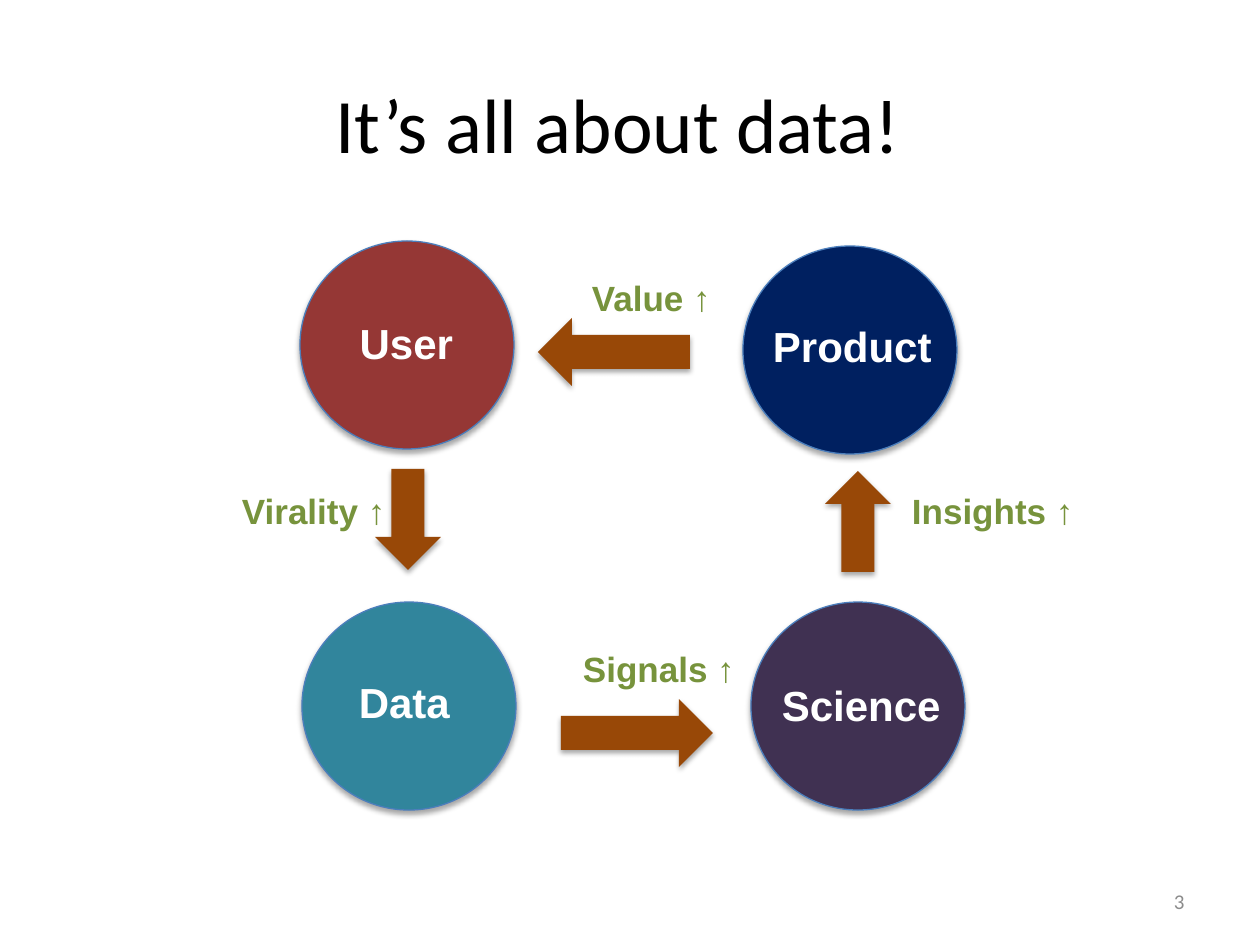
from lxml import etree
from pptx import Presentation, util as u
from pptx.dml.color import RGBColor
from pptx.enum import shapes, text
from pptx.oxml.ns import qn

PX = 914400 / 126
HUES = {
    "ink": "000000", "page": "8C8C8C", "white": "FFFFFF", "tag": "77933C",
    "rim": "4B7EBC", "arrow": "984807", "user": "953735", "product": "002060",
    "science": "403152", "data": "31859C",
}
FORM = shapes.MSO_SHAPE
LEFT, MID, RIGHT = text.PP_ALIGN.LEFT, text.PP_ALIGN.CENTER, text.PP_ALIGN.RIGHT


def rgb(name):
    """Return the named colour."""
    return RGBColor.from_string(HUES[name])


def emu(*sizes):
    """Turn px lengths into EMU."""
    return [u.Emu(round(size * PX)) for size in sizes]


def write(slide, box, words, size=20, hue="tag", font="Arial", bold=True,
          align=LEFT, anchor=text.MSO_ANCHOR.TOP, wrap=False, inset=0):
    """Place one line of formatted text in a box."""
    frame = slide.shapes.add_textbox(*emu(*box)).text_frame
    frame.word_wrap = wrap
    frame.auto_size = text.MSO_AUTO_SIZE.NONE
    frame.vertical_anchor = anchor
    frame.margin_left = u.Inches(inset)
    para = frame.paragraphs[0]
    para.alignment = align
    run = para.add_run()
    run.text = words
    run.font.name, run.font.size, run.font.bold = font, u.Pt(size), bold
    run.font.color.rgb = rgb(hue)


def shade(shape):
    """Give a shape a soft shadow below it."""
    shape.shadow.inherit = False
    effects = shape._element.spPr.find(qn("a:effectLst"))
    outer = etree.SubElement(
        effects, qn("a:outerShdw"), blurRad=str(u.Pt(3.1)), dist=str(u.Pt(1.8)),
        dir="5400000", rotWithShape="0")
    black = etree.SubElement(outer, qn("a:srgbClr"), val=HUES["ink"])
    etree.SubElement(black, qn("a:alpha"), val="35000")


def draw(slide, form, box, hue, rim=None):
    """Draw a filled shape with a shadow and an optional rim."""
    shape = slide.shapes.add_shape(form, *emu(*box))
    shape.fill.solid()
    shape.fill.fore_color.rgb = rgb(hue)
    if rim:
        shape.line.color.rgb = rgb(rim)
        shape.line.width = u.Pt(0.75)
    else:
        shape.line.fill.background()
    shade(shape)


def header(slide, box):
    """Write the slide title."""
    write(slide, box, "It’s all about data!", size=44, hue="ink", font="Calibri",
          bold=False, align=MID, anchor=text.MSO_ANCHOR.MIDDLE, wrap=True, inset=0.1)


def footer(slide, box):
    """Write the page number."""
    write(slide, box, "3", size=12, hue="page", font="Calibri", bold=False,
          align=RIGHT, anchor=text.MSO_ANCHOR.MIDDLE, wrap=True, inset=0.1)


def cycle(slide, box):
    """Draw the four stages and the arrows that link them."""
    left, top = box[:2]
    stages = [
        ("Product", 503, 6, 515, 74), ("Science", 511, 362, 524, 433),
        ("Data", 62, 362, 67, 430), ("User", 60, 1, 69, 71),
    ]
    for name, x, y, tx, ty in stages:
        draw(slide, FORM.OVAL, (left + x, top + y, 214, 208), name.lower(), "rim")
        write(slide, (left + tx, top + ty, 207, 50), name, size=24, hue="white",
              align=MID)
    flat, tall = (152, 68), (66, 101)
    links = [
        ("Signals", FORM.RIGHT_ARROW, 321, 459, flat, 343, 401),
        ("Value", FORM.LEFT_ARROW, 298, 78, flat, 352, 30),
        ("Virality", FORM.DOWN_ARROW, 135, 229, tall, 2, 243),
        ("Insights", FORM.UP_ARROW, 585, 231, tall, 672, 243),
    ]
    for name, form, x, y, size, tx, ty in links:
        draw(slide, form, (left + x, top + y, *size), "arrow")
        write(slide, (left + tx, top + ty, 152, 52), f"{name} ↑")


def main():
    """Build and save the slide."""
    deck = Presentation()
    deck.slide_width, deck.slide_height = emu(1260, 945)
    slide = deck.slides.add_slide(deck.slide_layouts[6])
    header(slide, (53, 44, 1130, 158))
    footer(slide, (903, 876, 294, 50))
    cycle(slide, (240, 240, 836, 570))
    deck.save("out.pptx")


if __name__ == "__main__":
    main()
